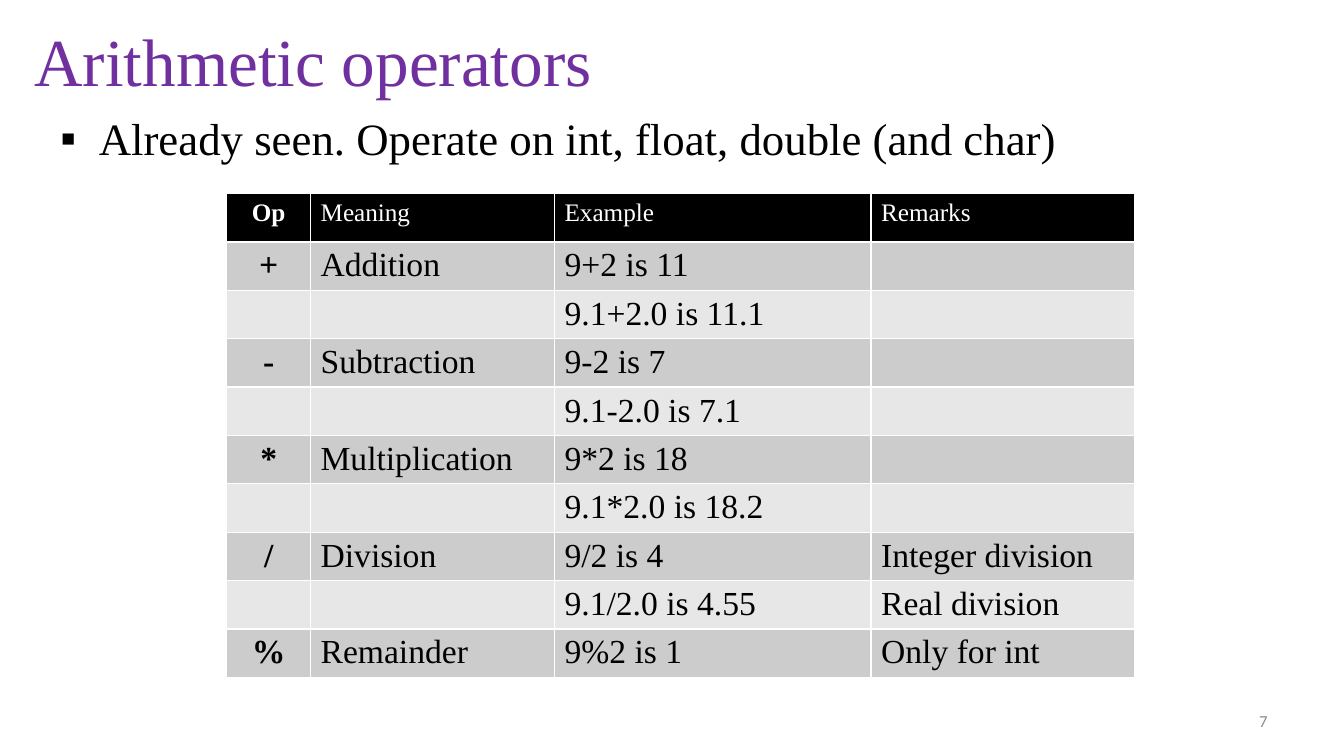
import pptx
import pptx.dml.color
import pptx.enum.text
import pptx.oxml
import pptx.oxml.ns
import pptx.util
from pptx.util import Inches

TITLE = "Arithmetic operators"
INTRO = "Already seen. Operate on int, float, double (and char)"
PAGE_NUMBER = "7"
HEADER = ("Op", "Meaning", "Example", "Remarks")
OPERATORS = [
    ("+", "Addition", "9+2 is 11", ""),
    ("", "", "9.1+2.0 is 11.1", ""),
    ("-", "Subtraction", "9-2 is 7", ""),
    ("", "", "9.1-2.0 is 7.1", ""),
    ("*", "Multiplication", "9*2 is 18", ""),
    ("", "", "9.1*2.0 is 18.2", ""),
    ("/", "Division", "9/2 is 4", "Integer division"),
    ("", "", "9.1/2.0 is 4.55", "Real division"),
    ("%", "Remainder", "9%2 is 1", "Only for int"),
]
COLUMN_WIDTHS = (0.83, 2.42, 3.14, 2.61)
ROW_HEIGHT = 0.48
SERIF = "Times New Roman"
ALIGN = pptx.enum.text.PP_ALIGN
ANCHOR = pptx.enum.text.MSO_ANCHOR


def color(value):
    return pptx.dml.color.RGBColor.from_string(value)


def style(para, size, value, align=ALIGN.LEFT, name=SERIF, bold=False):
    para.alignment = align
    para.font.size = pptx.util.Pt(size)
    para.font.name = name
    para.font.bold = bold
    para.font.color.rgb = color(value)


def place(box, left, top, width, height):
    box.left, box.top = Inches(left), Inches(top)
    box.width, box.height = Inches(width), Inches(height)


def add_bullet(para, symbol, indent):
    properties = para._p.get_or_add_pPr()
    properties.set("marL", str(Inches(indent)))
    properties.set("indent", str(-Inches(indent)))
    bullet = pptx.oxml.parse_xml(
        f'<a:buChar {pptx.oxml.ns.nsdecls("a")} char="{symbol}"/>')
    properties.append(bullet)


def add_operator_table(page):
    rows = [HEADER] + OPERATORS
    table = page.shapes.add_table(
        len(rows), len(HEADER), Inches(2.25), Inches(1.92),
        Inches(sum(COLUMN_WIDTHS)), Inches(ROW_HEIGHT * len(rows))).table
    for column, width in zip(table.columns, COLUMN_WIDTHS):
        column.width = Inches(width)
    for row_index, row in enumerate(rows):
        table.rows[row_index].height = Inches(ROW_HEIGHT)
        if row_index == 0:
            fill, size, ink = "000000", 18, "FFFFFF"
        else:
            fill, size, ink = ("CCCCCC" if row_index % 2 else "E7E7E7"), 24, "000000"
        for column_index, text in enumerate(row):
            cell = table.cell(row_index, column_index)
            cell.fill.solid()
            cell.fill.fore_color.rgb = color(fill)
            cell.text = text
            is_operator = column_index == 0
            style(cell.text_frame.paragraphs[0], size, ink,
                  ALIGN.CENTER if is_operator else ALIGN.LEFT, bold=is_operator)


def main():
    deck = pptx.Presentation()
    deck.slide_width, deck.slide_height = Inches(13.33), Inches(7.5)
    page = deck.slides.add_slide(deck.slide_layouts[1])

    title = page.shapes.title
    place(title, 0.24, 0.22, 8.5, 0.75)
    title.text_frame.text = TITLE
    title.text_frame.vertical_anchor = ANCHOR.MIDDLE
    style(title.text_frame.paragraphs[0], 48, "7030A0")

    body = page.placeholders[1]
    place(body, 0.5, 1.05, 11.5, 0.67)
    body.text_frame.text = INTRO
    intro = body.text_frame.paragraphs[0]
    intro.space_before = pptx.util.Pt(0)
    add_bullet(intro, "▪", 0.38)
    style(intro, 32, "000000")

    add_operator_table(page)

    number = page.shapes.add_textbox(
        Inches(9.56), Inches(6.95), Inches(3.11), Inches(0.4))
    number.text_frame.word_wrap = True
    number.text_frame.vertical_anchor = ANCHOR.MIDDLE
    number.text_frame.text = PAGE_NUMBER
    style(number.text_frame.paragraphs[0], 12, "8C8C8C", ALIGN.RIGHT, "Calibri")

    deck.save("out.pptx")


if __name__ == "__main__":
    main()
